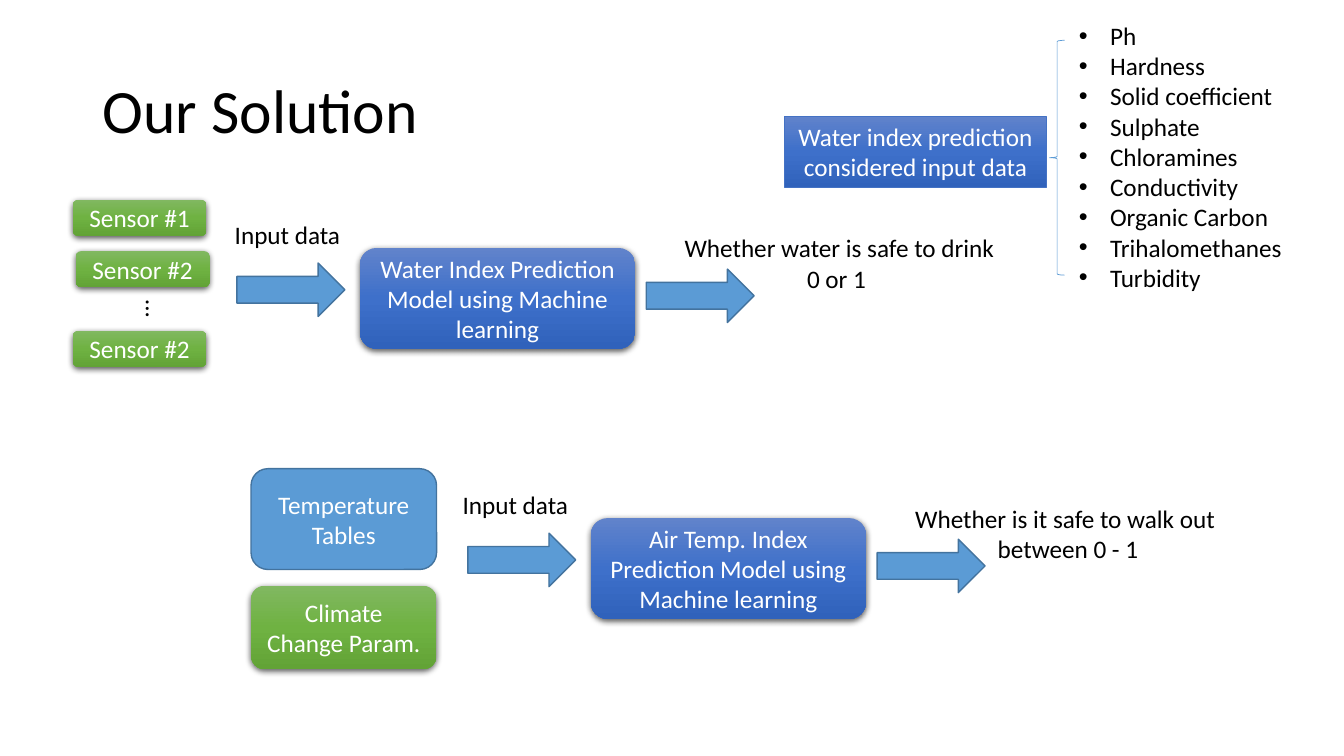
"""Build the slide that outlines the water and air prediction flows."""
from lxml import etree
from pptx import Presentation
from pptx import util as u
from pptx.dml.color import RGBColor
from pptx.enum import shapes, text
from pptx.oxml import parse_xml
from pptx.oxml.ns import nsdecls, qn

BLACK = RGBColor(0x00, 0x00, 0x00)
WHITE = RGBColor(0xFF, 0xFF, 0xFF)
SKY = RGBColor(0x5B, 0x9B, 0xD5)
SKY_EDGE = RGBColor(0x43, 0x73, 0x9E)
ROYAL = RGBColor(0x44, 0x72, 0xC4)
BLUES = [RGBColor(0x61, 0x83, 0xCB), RGBColor(0x3E, 0x70, 0xCA), RGBColor(0x30, 0x62, 0xBB)]
GREENS = [RGBColor(0x81, 0xB8, 0x61), RGBColor(0x6F, 0xB2, 0x42), RGBColor(0x62, 0xA3, 0x36)]

KINDS = shapes.MSO_SHAPE
LEFT, CENTER = text.PP_ALIGN.LEFT, text.PP_ALIGN.CENTER
TOP, MIDDLE = text.MSO_ANCHOR.TOP, text.MSO_ANCHOR.MIDDLE

PARAMETERS = ["Ph", "Hardness", "Solid coefficient", "Sulphate", "Chloramines",
              "Conductivity", "Organic Carbon", "Trihalomethanes", "Turbidity"]


def inches(*lengths):
    """Turn plain numbers into lengths."""
    return [u.Inches(length) for length in lengths]


def write(box, lines, size=18, color=BLACK, align=CENTER, anchor=TOP, wrap=True, spacing=1.0):
    """Fill a shape with one formatted paragraph per line."""
    frame = box.text_frame
    frame.auto_size = text.MSO_AUTO_SIZE.NONE
    frame.word_wrap = wrap
    frame.vertical_anchor = anchor
    for index, line in enumerate(lines):
        para = frame.add_paragraph() if index else frame.paragraphs[0]
        para.alignment = align
        para.line_spacing = spacing
        para.space_before = u.Pt(0)
        span = para.add_run()
        span.text = line
        span.font.name = "Calibri"
        span.font.size = u.Pt(size)
        span.font.color.rgb = color


def fill_gradient(box, colors):
    """Shade a shape from top to bottom through evenly spaced colours."""
    box.fill.gradient()
    gradient = box.fill._xPr.find(qn("a:gradFill"))
    stops = gradient.find(qn("a:gsLst"))
    for stop in list(stops):
        stops.remove(stop)
    for index, color in enumerate(colors):
        stop = etree.SubElement(stops, qn("a:gs"), pos=str(index * 50000))
        etree.SubElement(stop, qn("a:srgbClr"), val=str(color))
    box.fill.gradient_angle = 270


def cast_shadow(box):
    """Give a shape a soft shadow below it."""
    effects = box._element.spPr.find(qn("a:effectLst"))
    effects.append(parse_xml(
        f'<a:outerShdw {nsdecls("a")} blurRad="{u.Pt(4.5)}" dist="{u.Pt(1.5)}" dir="5400000"'
        ' algn="ctr" rotWithShape="0"><a:srgbClr val="000000"><a:alpha val="63000"/>'
        '</a:srgbClr></a:outerShdw>'))


def add_block(page, kind, place, lines=(), fill=None, edge=None, width=1, shadow=False):
    """Add a preset shape with a plain colour, a gradient list or no fill."""
    box = page.shapes.add_shape(kind, *inches(*place))
    box.shadow.inherit = False
    if edge is None:
        box.line.fill.background()
    else:
        box.line.color.rgb = edge
        box.line.width = u.Pt(width)
    if fill is None:
        box.fill.background()
    elif isinstance(fill, list):
        fill_gradient(box, fill)
    else:
        box.fill.solid()
        box.fill.fore_color.rgb = fill
    if shadow:
        cast_shadow(box)
    write(box, lines, color=WHITE, anchor=MIDDLE)
    return box


def add_rounded(page, place, line, fill):
    """Add a rounded gradient block with a shadow."""
    add_block(page, KINDS.ROUNDED_RECTANGLE, place, [line], fill, shadow=True)


def add_arrow(page, left, top):
    """Add a right-pointing block arrow."""
    add_block(page, KINDS.RIGHT_ARROW, (left, top, 1.07, 0.53), fill=SKY, edge=SKY_EDGE)


def add_label(page, place, lines, **style):
    """Add a text box."""
    box = page.shapes.add_textbox(*inches(*place))
    write(box, lines, **style)
    return box


def add_flow(page, left, top, label_left, model, answer, answer_width):
    """Add input label, arrow, model, arrow and answer in a row."""
    add_label(page, (label_left, top - 0.33, 1.26, 0.4), ["Input data"], align=LEFT, wrap=False)
    add_arrow(page, left - 1.22, top + 0.15)
    add_rounded(page, (left, top, 2.73, 1), model, BLUES)
    add_label(page, (left + 3.1, top - 0.2, answer_width, 0.71), answer, wrap=False)
    add_arrow(page, left + 2.84, top + 0.21)


def place_holder(box, place):
    """Move a placeholder."""
    box.left, box.top, box.width, box.height = inches(*place)


def add_parameters(page, body):
    """List the water parameters with their caption and brace."""
    place_holder(body, (10.6, 0.15, 2.24, 2.83))
    write(body, PARAMETERS, align=LEFT, wrap=False)
    for para in body.text_frame.paragraphs:
        props = para._p.get_or_add_pPr()
        props.set("marL", str(u.Inches(0.31)))
        props.set("indent", str(u.Inches(-0.31)))
        etree.SubElement(props, qn("a:buFont"), typeface="Arial")
        etree.SubElement(props, qn("a:buChar"), char="•")
    add_block(page, KINDS.RECTANGLE, (7.78, 1.15, 2.6, 0.71),
              ["Water index prediction considered input data"], BLUES, ROYAL, 0.5)
    add_block(page, KINDS.LEFT_BRACE, (10.41, 0.4, 0.15, 2.33), edge=SKY, width=0.5)


def add_sources(page):
    """Add the sensors and the climate data that feed the models."""
    for left, top, name in [(0.72, 1.98, "Sensor #1"), (0.75, 2.49, "Sensor #2"),
                            (0.72, 3.28, "Sensor #2")]:
        add_rounded(page, (left, top, 1.33, 0.36), name, GREENS)
    dots = add_label(page, (1.03, 2.69, 0.7, 0.41), ["…"], align=LEFT)
    dots.rotation = 270
    add_block(page, KINDS.ROUNDED_RECTANGLE, (2.49, 4.65, 1.84, 1),
              ["Temperature Tables"], SKY, SKY_EDGE)
    add_rounded(page, (2.49, 5.81, 1.84, 0.83), "Climate Change Param.", GREENS)


def main():
    """Build and save the deck."""
    deck = Presentation()
    deck.slide_width, deck.slide_height = inches(13.33, 7.5)
    page = deck.slides.add_slide(deck.slide_layouts[1])
    title, body = page.placeholders
    place_holder(title, (0.92, 0.4, 11.5, 1.45))
    write(title, ["Our Solution"], size=44, align=LEFT, anchor=MIDDLE, spacing=0.9)
    add_parameters(page, body)
    add_sources(page)
    add_flow(page, 3.57, 2.46, 2.23, "Water Index Prediction Model using Machine learning",
             ["Whether water is safe to drink", "0 or 1 "], 3.31)
    add_flow(page, 5.86, 5.14, 4.49, "Air Temp. Index Prediction Model using Machine learning",
             ["Whether is it safe to walk out", " between 0 - 1"], 3.21)
    deck.save("out.pptx")


if __name__ == "__main__":
    main()
